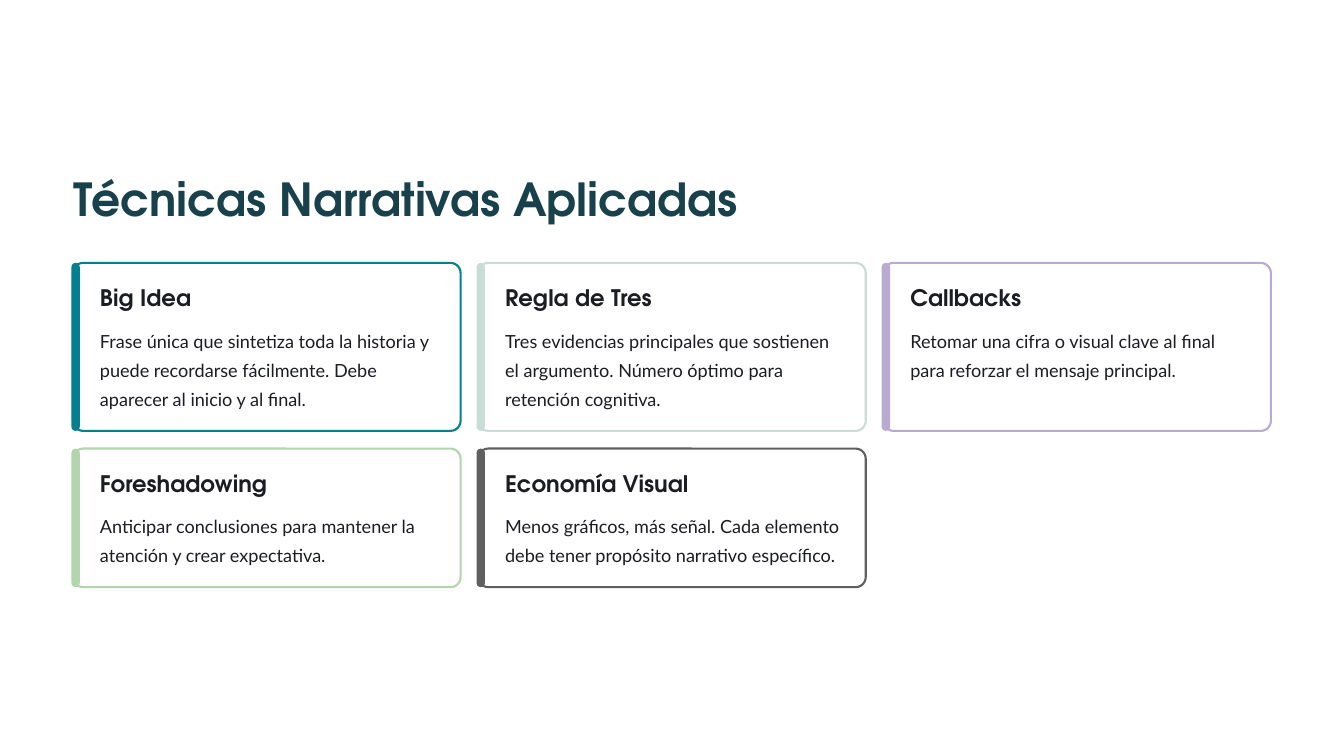
from dataclasses import dataclass

from pptx import Presentation
from pptx.dml.color import RGBColor
from pptx.enum.shapes import MSO_SHAPE
from pptx.enum.text import MSO_ANCHOR, MSO_AUTO_SIZE, PP_ALIGN
from pptx.shapes.autoshape import Shape
from pptx.slide import Slide
from pptx.util import Inches, Pt


@dataclass(frozen=True)
class TextStyle:
    font: str
    size: float
    leading: float
    color: str
    bold: bool = False


@dataclass(frozen=True)
class Theme:
    paper: str = "FFFFFF"
    outline: float = 1.8
    title: TextStyle = TextStyle("TeX Gyre Adventor", 39, 48.5, "19414B", True)
    heading: TextStyle = TextStyle("TeX Gyre Adventor", 19.5, 24, "1C1D22", True)
    detail: TextStyle = TextStyle("Lato", 15.5, 25, "1C1D22")


@dataclass(frozen=True)
class Box:
    left: float
    top: float
    width: float
    height: float


@dataclass(frozen=True)
class Grid:
    slide_width: float = 16
    slide_height: float = 9
    margin: float = 0.87
    top: float = 3.13
    gap: float = 0.21
    columns: int = 3
    row_heights: tuple[float, ...] = (2, 1.65)

    @property
    def content_width(self) -> float:
        """Return the width between the side margins."""
        return self.slide_width - 2 * self.margin

    def cell(self, index: int) -> Box:
        """Return the cell at an index, counted row by row."""
        row, column = divmod(index, self.columns)
        width = (self.content_width - (self.columns - 1) * self.gap) / self.columns
        left = self.margin + column * (width + self.gap)
        top = self.top + sum(self.row_heights[:row]) + row * self.gap
        return Box(left, top, width, self.row_heights[row])


@dataclass(frozen=True)
class Technique:
    name: str
    advice: str
    accent: str


THEME = Theme()
GRID = Grid()
TITLE_BOX = Box(GRID.margin, 2.01, GRID.content_width, 0.68)
CORNER = 0.12
BAR_WIDTH, BAR_OVERHANG, BAR_ROUNDING = 0.1, 0.02, 0.91
INDENT, HEADING_OFFSET, DETAIL_OFFSET = 0.32, 0.24, 0.71
HEADING_WIDTH, HEADING_HEIGHT, DETAIL_WIDTH = 2.71, 0.34, 4.05

TECHNIQUES = (
    Technique("Big Idea", "Frase única que sintetiza toda la historia y puede recordarse "
              "fácilmente. Debe aparecer al inicio y al final.", "028090"),
    Technique("Regla de Tres", "Tres evidencias principales que sostienen el argumento. "
              "Número óptimo para retención cognitiva.", "CADCD8"),
    Technique("Callbacks", "Retomar una cifra o visual clave al final para reforzar "
              "el mensaje principal.", "B9AAD4"),
    Technique("Foreshadowing", "Anticipar conclusiones para mantener la atención y crear "
              "expectativa.", "B2D5AD"),
    Technique("Economía Visual", "Menos gráficos, más señal. Cada elemento debe tener "
              "propósito narrativo específico.", "606060"),
)


def inches(box: Box) -> tuple[Inches, ...]:
    """Convert a box to left, top, width and height lengths."""
    return tuple(Inches(side) for side in (box.left, box.top, box.width, box.height))


def write(holder: Shape, wording: str, style: TextStyle, wrap: bool = False) -> None:
    """Write one styled paragraph into a shape without insets."""
    frame = holder.text_frame
    frame.margin_left = frame.margin_top = frame.margin_right = frame.margin_bottom = 0
    frame.word_wrap = wrap
    frame.auto_size = MSO_AUTO_SIZE.NONE
    frame.vertical_anchor = MSO_ANCHOR.TOP
    paragraph = frame.paragraphs[0]
    paragraph.alignment = PP_ALIGN.LEFT
    paragraph.line_spacing = Pt(style.leading)
    run = paragraph.add_run()
    run.text = wording
    run.font.name = style.font
    run.font.size = Pt(style.size)
    run.font.bold = style.bold
    run.font.color.rgb = RGBColor.from_string(style.color)


def add_panel(slide: Slide, box: Box, rounding: float, fill: str,
              outline: str | None = None) -> None:
    """Draw a rounded rectangle with an optional outline."""
    panel = slide.shapes.add_shape(MSO_SHAPE.ROUNDED_RECTANGLE, *inches(box))
    panel.shadow.inherit = False
    panel.adjustments[0] = rounding
    panel.fill.solid()
    panel.fill.fore_color.rgb = RGBColor.from_string(fill)
    if outline:
        panel.line.color.rgb = RGBColor.from_string(outline)
        panel.line.width = Pt(THEME.outline)
    else:
        panel.line.fill.background()


def add_card(slide: Slide, technique: Technique, cell: Box) -> None:
    """Draw one technique card with its accent bar and wording."""
    bar = Box(cell.left - BAR_OVERHANG, cell.top, BAR_WIDTH, cell.height)
    add_panel(slide, cell, CORNER / cell.height, THEME.paper, technique.accent)
    add_panel(slide, bar, BAR_ROUNDING, technique.accent)
    left = cell.left + INDENT
    heading = Box(left, cell.top + HEADING_OFFSET, HEADING_WIDTH, HEADING_HEIGHT)
    detail = Box(left, cell.top + DETAIL_OFFSET, DETAIL_WIDTH,
                 cell.height - DETAIL_OFFSET - HEADING_OFFSET)
    write(slide.shapes.add_textbox(*inches(heading)), technique.name, THEME.heading)
    write(slide.shapes.add_textbox(*inches(detail)), technique.advice, THEME.detail, True)


def main() -> None:
    """Build and save the slide of narrative techniques."""
    deck = Presentation()
    deck.slide_width = Inches(GRID.slide_width)
    deck.slide_height = Inches(GRID.slide_height)
    slide = deck.slides.add_slide(deck.slide_layouts[5])
    slide.background.fill.solid()
    slide.background.fill.fore_color.rgb = RGBColor.from_string(THEME.paper)
    title = slide.shapes.title
    title.left, title.top, title.width, title.height = inches(TITLE_BOX)
    write(title, "Técnicas Narrativas Aplicadas", THEME.title, True)
    for index, technique in enumerate(TECHNIQUES):
        add_card(slide, technique, GRID.cell(index))
    deck.save("out.pptx")


if __name__ == "__main__":
    main()
